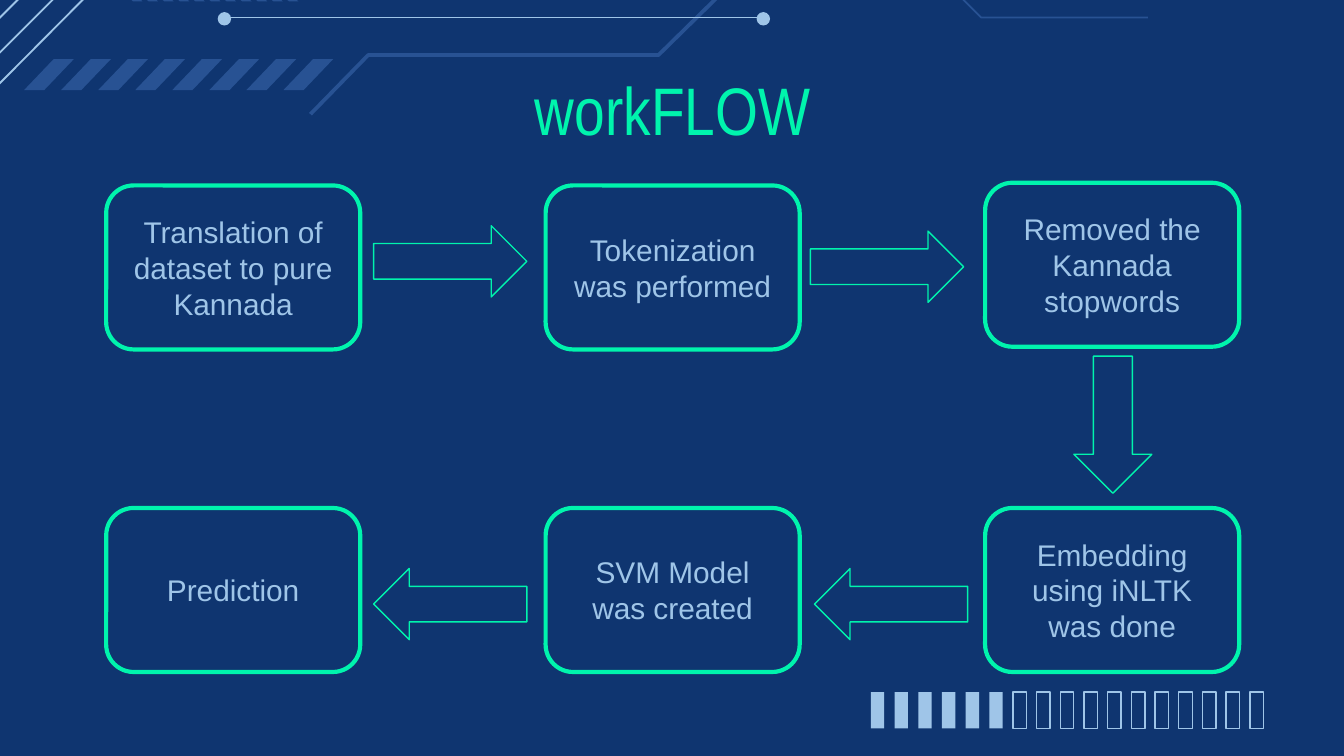
"""Build a workflow slide: six steps joined by block arrows on a circuit backdrop."""
from dataclasses import dataclass
from pptx import Presentation
from pptx.dml.color import RGBColor as RGB
from pptx.enum.shapes import MSO_CONNECTOR as Link, MSO_SHAPE as Shape
from pptx.enum.text import MSO_ANCHOR as Anchor, PP_ALIGN as Align
from pptx.oxml.ns import qn
from pptx.util import Inches, Pt
from lxml import etree


@dataclass(frozen=True)
class Theme:
    navy: RGB = RGB.from_string("0F3570")
    blue: RGB = RGB.from_string("285293")
    sky: RGB = RGB.from_string("9FC5E8")
    mint: RGB = RGB.from_string("00F4AD")
    head: int = 36
    body: int = 16


def paint(shape, fill=None, line=None, width=0.75):
    shape.shadow.inherit = False
    if fill is None:
        shape.fill.background()
    else:
        shape.fill.solid()
        shape.fill.fore_color.rgb = fill
    if line is None:
        shape.line.fill.background()
    else:
        shape.line.color.rgb = line
        shape.line.width = Pt(width)
    return shape


def write(shape, text, size, color, font="Arial", inset=0.1, anchor=Anchor.MIDDLE):
    frame = shape.text_frame
    frame.word_wrap = True
    frame.vertical_anchor = anchor
    frame.margin_left = frame.margin_right = Inches(inset)
    frame.margin_top = frame.margin_bottom = Inches(inset)
    par = frame.paragraphs[0]
    par.alignment = Align.CENTER
    run = par.add_run()
    run.text = text
    run.font.name = font
    run.font.size = Pt(size)
    run.font.color.rgb = color


theme = Theme()
deck = Presentation()
deck.slide_width = Inches(10)
deck.slide_height = Inches(10) * 9 // 16
slide = deck.slides.add_slide(deck.slide_layouts[6])
slide.background.fill.solid()
slide.background.fill.fore_color.rgb = theme.navy
shapes = slide.shapes

traces = [
    ([(-0.19, 0.81), (1.27, -0.66), (2.59, -0.66), (3.14, -0.11),
      (4.49, -0.11), (5.28, -0.9), (6.04, -0.9)], theme.sky, 1),
    ([(2.31, 0.85), (2.74, 0.41), (4.9, 0.41), (5.47, -0.15), (6.46, -0.15)], theme.blue, 2),
    ([(8.54, 0.13), (7.3, 0.13), (6.79, -0.38), (5.85, -0.38)], theme.blue, 1),
]
slants = [
    [(x, 0.67), (x + 0.15, 0.67), (x + 0.37, 0.44), (x + 0.22, 0.44)]
    for x in (0.18 + 1.93 * i / 7 for i in range(8))
]
chevrons = [
    [(x + 0.19, 0.01), (x + 0.08, -0.09), (x + 0.18, -0.19),
     (x + 0.11, -0.19), (x, -0.09), (x + 0.12, 0.01)]
    for x in (0.87 + 1.16 * i / 10 for i in range(11))
]
paths = [(pts, False, None, color, width) for pts, color, width in traces]
paths += [(pts, True, theme.blue, None, 0) for pts in slants + chevrons]
for pts, closed, fill, line, width in paths:
    spots = [(Inches(x), Inches(y)) for x, y in pts]
    path = shapes.build_freeform(*spots[0], scale=1.0)
    path.add_line_segments(spots[1:], close=closed)
    paint(path.convert_to_shape(), fill, line, width)

for ends in [(1.67, 0.13, 5.64, 0.13), (-0.43, 0.82, 1.05, -0.66), (-0.61, 0.74, 0.87, -0.74)]:
    wire = shapes.add_connector(Link.STRAIGHT, *map(Inches, ends))
    wire.line.color.rgb = theme.sky
    wire.line.width = Pt(1)
    etree.SubElement(wire._element.spPr, qn("a:effectLst"))

for x in (1.62, 5.63):
    dot = shapes.add_shape(Shape.OVAL, Inches(x), Inches(0.09), Inches(0.1), Inches(0.1))
    paint(dot, theme.sky)

for i in range(17):
    bar = shapes.add_shape(Shape.RECTANGLE, Inches(6.48 + 2.82 * i / 16), Inches(5.15),
                           Inches(0.1), Inches(0.27))
    if i < 6:
        paint(bar, fill=theme.sky)
    else:
        paint(bar, line=theme.sky)

title = shapes.add_textbox(Inches(0.79), Inches(0.51), Inches(8.43), Inches(0.53))
write(title, "workFLOW", theme.head, theme.mint, font="Arial Narrow", inset=0, anchor=Anchor.TOP)

steps = [
    ("Translation of dataset to pure Kannada", 0, 1.38),
    ("Tokenization was performed", 1, 1.38),
    ("Removed the Kannada stopwords", 2, 1.36),
    ("Embedding using iNLTK was done", 2, 3.78),
    ("SVM Model was created", 1, 3.78),
    ("Prediction", 0, 3.78),
]
for text, col, y in steps:
    box = shapes.add_shape(Shape.ROUNDED_RECTANGLE, Inches(0.79 + 3.27 * col), Inches(y),
                           Inches(1.89), Inches(1.22))
    paint(box, theme.navy, theme.mint, 2.25)
    write(box, text, theme.body, theme.sky)

arrows = [
    (2.78, 1.68, 1.14, 0.53, 0),
    (6.03, 1.72, 1.14, 0.53, 0),
    (7.77, 2.87, 1.02, 0.58, 90),
    (6.06, 4.23, 1.14, 0.53, 180),
    (2.78, 4.23, 1.14, 0.53, 180),
]
for *place, turn in arrows:
    arrow = shapes.add_shape(Shape.RIGHT_ARROW, *map(Inches, place))
    arrow.rotation = turn
    paint(arrow, theme.navy, theme.mint)

deck.save("out.pptx")
